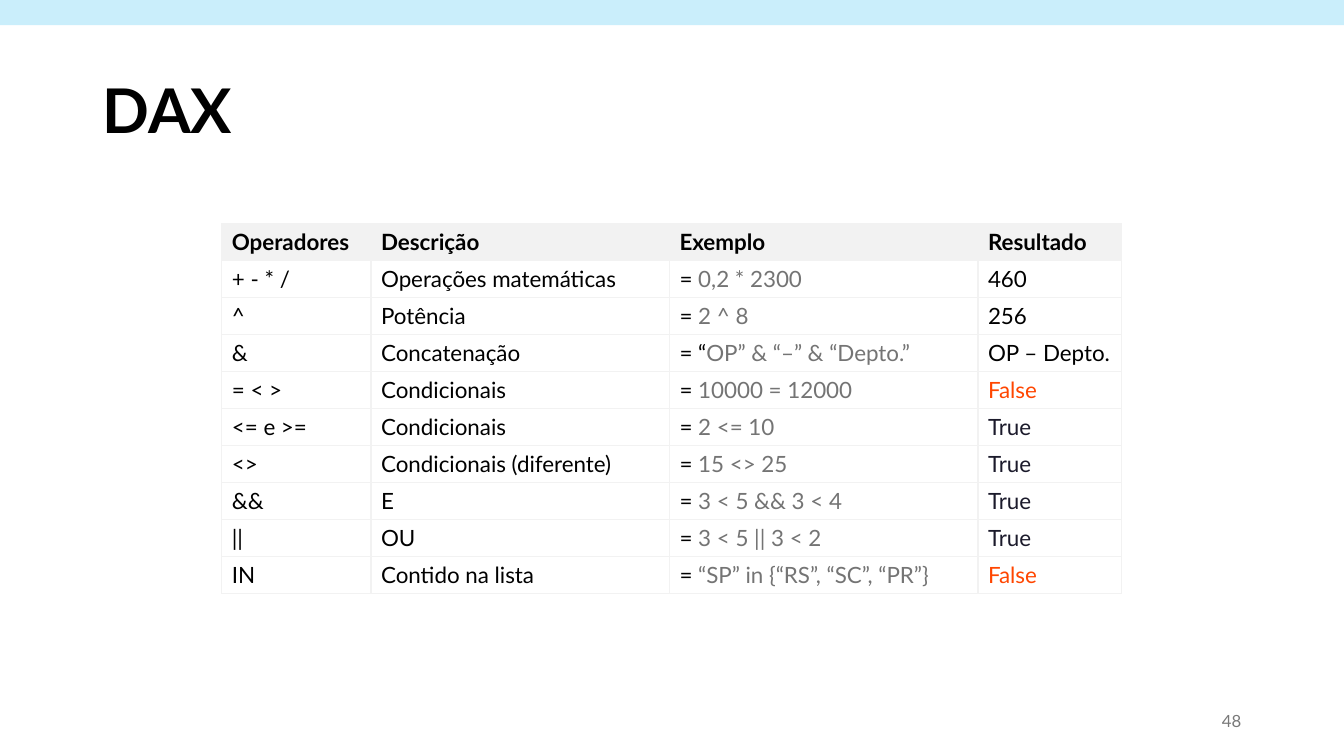
from lxml.etree import SubElement
from pptx import Presentation
from pptx.dml.color import RGBColor
from pptx.enum.shapes import MSO_SHAPE
from pptx.enum.text import MSO_ANCHOR, PP_ALIGN
from pptx.oxml.ns import qn
from pptx.util import Inches, Pt

HEX = {
    "band": "CAEEFB", "black": "000000", "page": "797979", "code": "747474",
    "grid": "F2F2F2", "false": "FF4600", "true": "1B1A2B",
}
WIDTHS = [1.48, 2.96, 3.06, 1.42]
HEADS = ["Operadores", "Descrição", "Exemplo", "Resultado"]
# Operator, meaning, start of example, rest of example, result
ROWS = [
    ("+ - * /", "Operações matemáticas", "= ", "0,2 * 2300", "460"),
    ("^", "Potência", "= ", "2 ^ 8", "256"),
    ("&", "Concatenação", "= “", "OP” & “–” & “Depto.”", "OP – Depto."),
    ("= < >", "Condicionais", "= ", "10000 = 12000", "False"),
    ("<= e >=", "Condicionais", "= ", "2 <= 10", "True"),
    ("<>", "Condicionais (diferente)", "= ", "15 <> 25", "True"),
    ("&&", "E", "= ", "3 < 5 && 3 < 4", "True"),
    ("||", "OU", "= ", "3 < 5 || 3 < 2", "True"),
    ("IN", "Contido na lista", "= ", "“SP” in {“RS”, “SC”, “PR”}", "False"),
]


def tint(name):
    return RGBColor.from_string(HEX[name])


def add_run(para, text, color="black", size=16, bold=False):
    run = para.add_run()
    run.text = text
    style = {"name": "Lato", "size": Pt(size), "bold": bold}
    for key, value in style.items():
        setattr(run.font, key, value)
    run.font.color.rgb = tint(color)


def add_text(slide, area, text, form, **style):
    frame = slide.shapes.add_textbox(*map(Inches, area)).text_frame
    frame.word_wrap = True
    frame.vertical_anchor = MSO_ANCHOR.MIDDLE
    para = frame.paragraphs[0]
    for key, value in form.items():
        setattr(para, key, value)
    add_run(para, text, **style)


def add_band(slide):
    band = slide.shapes.add_shape(
        MSO_SHAPE.RECTANGLE, 0, 0, Inches(13.33), Inches(0.25))
    band.shadow.inherit = False
    band.fill.solid()
    band.fill.fore_color.rgb = tint("band")
    band.line.fill.background()


def add_edges(cell):
    props = cell._tc.get_or_add_tcPr()
    for side in ("lnL", "lnR", "lnT", "lnB"):
        line = SubElement(props, qn(f"a:{side}"), w=str(Pt(1)))
        fill = SubElement(line, qn("a:solidFill"))
        SubElement(fill, qn("a:srgbClr"), val=HEX["grid"])


def fill_cell(cell, runs, head=False):
    add_edges(cell)
    if head:
        cell.fill.solid()
        cell.fill.fore_color.rgb = tint("grid")
    else:
        cell.fill.background()
    for text, color in runs:
        add_run(cell.text_frame.paragraphs[0], text, color, bold=head)


def add_grid(slide):
    count = len(ROWS) + 1
    area = map(Inches, (2.2, 2.22, sum(WIDTHS), 3.67))
    table = slide.shapes.add_table(count, len(HEADS), *area).table
    table.first_row = table.horz_banding = False
    for col, width in zip(table.columns, WIDTHS):
        col.width = Inches(width)

    # Heading row
    for col, head in enumerate(HEADS):
        fill_cell(table.cell(0, col), [(head, "black")], head=True)

    # Operator rows
    for row, (sign, note, start, code, result) in enumerate(ROWS, 1):
        color = {"False": "false", "True": "true"}.get(result, "black")
        parts = [
            [(sign, "black")], [(note, "black")],
            [(start, "black"), (code, "code")], [(result, color)],
        ]
        for col, runs in enumerate(parts):
            fill_cell(table.cell(row, col), runs)


def main():
    deck = Presentation()
    deck.slide_width, deck.slide_height = Inches(13.33), Inches(7.5)
    slide = deck.slides.add_slide(deck.slide_layouts[6])

    # Title and top band
    add_text(slide, (0.92, 0.4, 11.5, 1.45), "DAX",
             {"line_spacing": 0.9}, size=44, bold=True)
    add_band(slide)

    # Page number
    add_text(slide, (9.41, 6.95, 3, 0.4), "48",
             {"alignment": PP_ALIGN.RIGHT}, color="page", size=12)

    # Table of operators
    add_grid(slide)
    deck.save("out.pptx")


if __name__ == "__main__":
    main()
